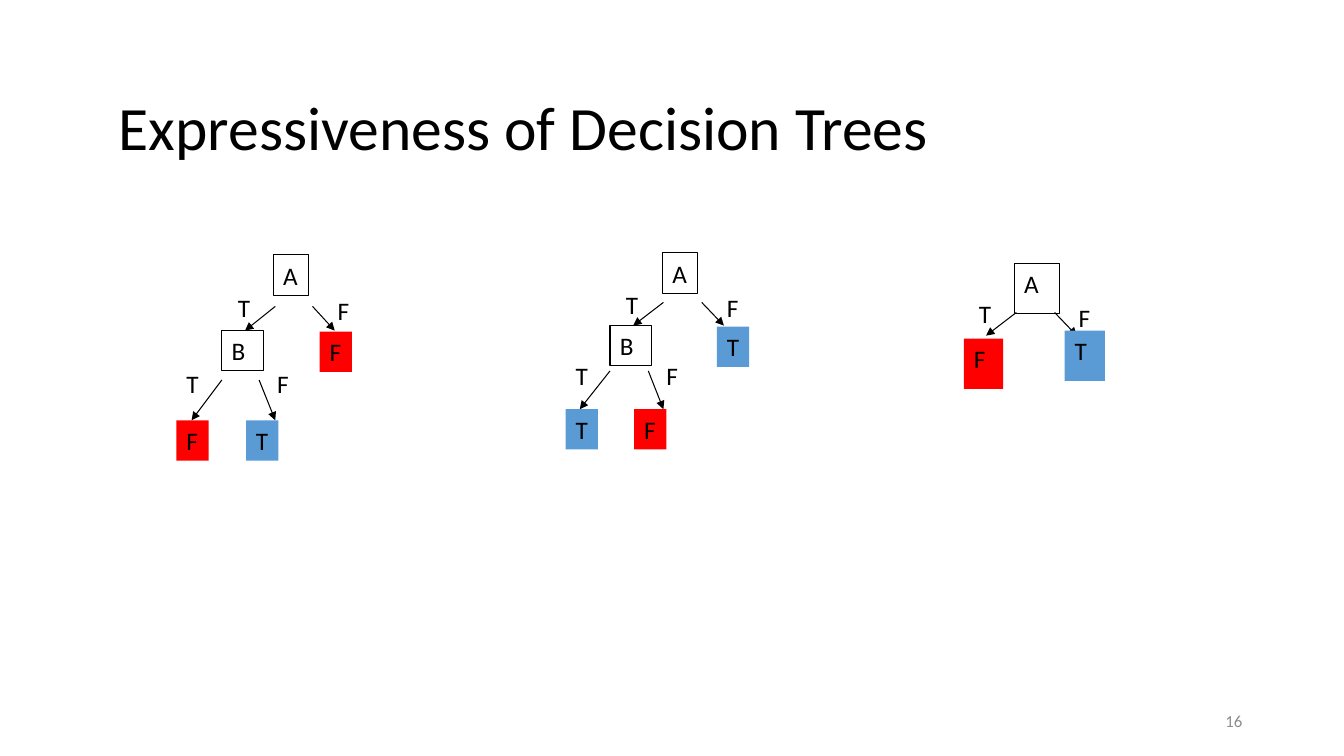
from lxml import etree
from pptx import Presentation
from pptx.dml.color import RGBColor
from pptx.enum.shapes import MSO_CONNECTOR, MSO_SHAPE
from pptx.enum.text import MSO_ANCHOR, PP_ALIGN
from pptx.oxml.ns import qn
from pptx.util import Inches, Pt

RECTANGLE = MSO_SHAPE.RECTANGLE
STRAIGHT = MSO_CONNECTOR.STRAIGHT
TOP, MIDDLE = MSO_ANCHOR.TOP, MSO_ANCHOR.MIDDLE
LEFT, RIGHT = PP_ALIGN.LEFT, PP_ALIGN.RIGHT
BLACK, GREY = "000000", "8C8C8C"
LEAF_FILLS = {"T": "5B9BD5", "F": "FF0000"}


def color(value):
    return RGBColor.from_string(value)


def write(box, text, size, ink=BLACK, anchor=TOP, align=LEFT):
    frame = box.text_frame
    frame.word_wrap = True
    frame.vertical_anchor = anchor
    para = frame.paragraphs[0]
    para.alignment = align
    span = para.add_run()
    span.text = text
    span.font.name = "Calibri"
    span.font.size = Pt(size)
    span.font.color.rgb = color(ink)
    return para


deck = Presentation()
deck.slide_width, deck.slide_height = Inches(13.33), Inches(7.5)
page = deck.slides.add_slide(deck.slide_layouts[6])

# Title
title = page.shapes.add_textbox(Inches(1.08), Inches(0.57), Inches(11.5), Inches(1.45))
write(title, "Expressiveness of Decision Trees", 44, anchor=MIDDLE).line_spacing = 0.9

# Trees: nodes are (letter, left, top, width), labels (letter, left, top),
# arrows (from x, from y, to x, to y)
trees = [
    {
        "height": 0.4,
        "tests": [("A", 2.71, 2.53, 0.35), ("B", 2.2, 3.28, 0.41)],
        "leaves": [("F", 3.17, 3.29, 0.32), ("F", 1.75, 4.17, 0.32), ("T", 2.44, 4.17, 0.32)],
        "labels": [("T", 2.26, 2.85), ("F", 3.25, 2.88), ("T", 1.75, 3.61), ("F", 2.65, 3.61)],
        "arrows": [(2.73, 3.04, 2.43, 3.28), (3.1, 3.04, 3.32, 3.28),
                   (2.2, 3.77, 1.9, 4.17), (2.57, 3.77, 2.73, 4.17)],
    },
    {
        "height": 0.4,
        "tests": [("A", 6.57, 2.51, 0.35), ("B", 6.05, 3.23, 0.41)],
        "leaves": [("T", 7.11, 3.24, 0.32), ("T", 5.61, 4.06, 0.32), ("F", 6.29, 4.06, 0.32)],
        "labels": [("T", 6.11, 2.82), ("F", 7.11, 2.85), ("T", 5.61, 3.53), ("F", 6.51, 3.53)],
        "arrows": [(6.58, 3, 6.28, 3.23), (6.96, 3, 7.18, 3.23),
                   (6.05, 3.68, 5.75, 4.06), (6.43, 3.68, 6.58, 4.06)],
    },
    {
        "height": 0.5,
        "tests": [("A", 10.06, 2.61, 0.45)],
        "leaves": [("T", 10.56, 3.28, 0.4), ("F", 9.56, 3.36, 0.39)],
        "labels": [("T", 9.61, 2.91), ("F", 10.6, 2.95)],
        "arrows": [(10.08, 3.1, 9.78, 3.33), (10.46, 3.1, 10.68, 3.33)],
    },
]

for tree in trees:
    group = page.shapes.add_group_shape()
    height = Inches(tree["height"])

    # Arrows lie behind the nodes
    for ends in tree["arrows"]:
        arrow = group.shapes.add_connector(STRAIGHT, *[Inches(end) for end in ends])
        arrow.line.color.rgb = color(BLACK)
        arrow.line.width = Pt(0.75)
        etree.SubElement(arrow.line._get_or_add_ln(), qn("a:tailEnd"), type="triangle")
        etree.SubElement(arrow._element.spPr, qn("a:effectLst"))

    # Outlined tests and filled leaves
    for letter, left, top, width in tree["tests"] + tree["leaves"]:
        node = group.shapes.add_shape(RECTANGLE, Inches(left), Inches(top), Inches(width), height)
        node.shadow.inherit = False
        if letter in LEAF_FILLS:
            node.fill.solid()
            node.fill.fore_color.rgb = color(LEAF_FILLS[letter])
            node.line.fill.background()
        else:
            node.fill.background()
            node.line.color.rgb = color(BLACK)
            node.line.width = Pt(0.75)
        write(node, letter, 18)

    # Branch labels
    for letter, left, top in tree["labels"]:
        label = group.shapes.add_textbox(Inches(left), Inches(top), Inches(0.35), height)
        write(label, letter, 18)

# Slide number
number = page.shapes.add_textbox(Inches(9.42), Inches(6.95), Inches(3), Inches(0.4))
write(number, "16", 12, GREY, MIDDLE, RIGHT)

deck.save("out.pptx")
